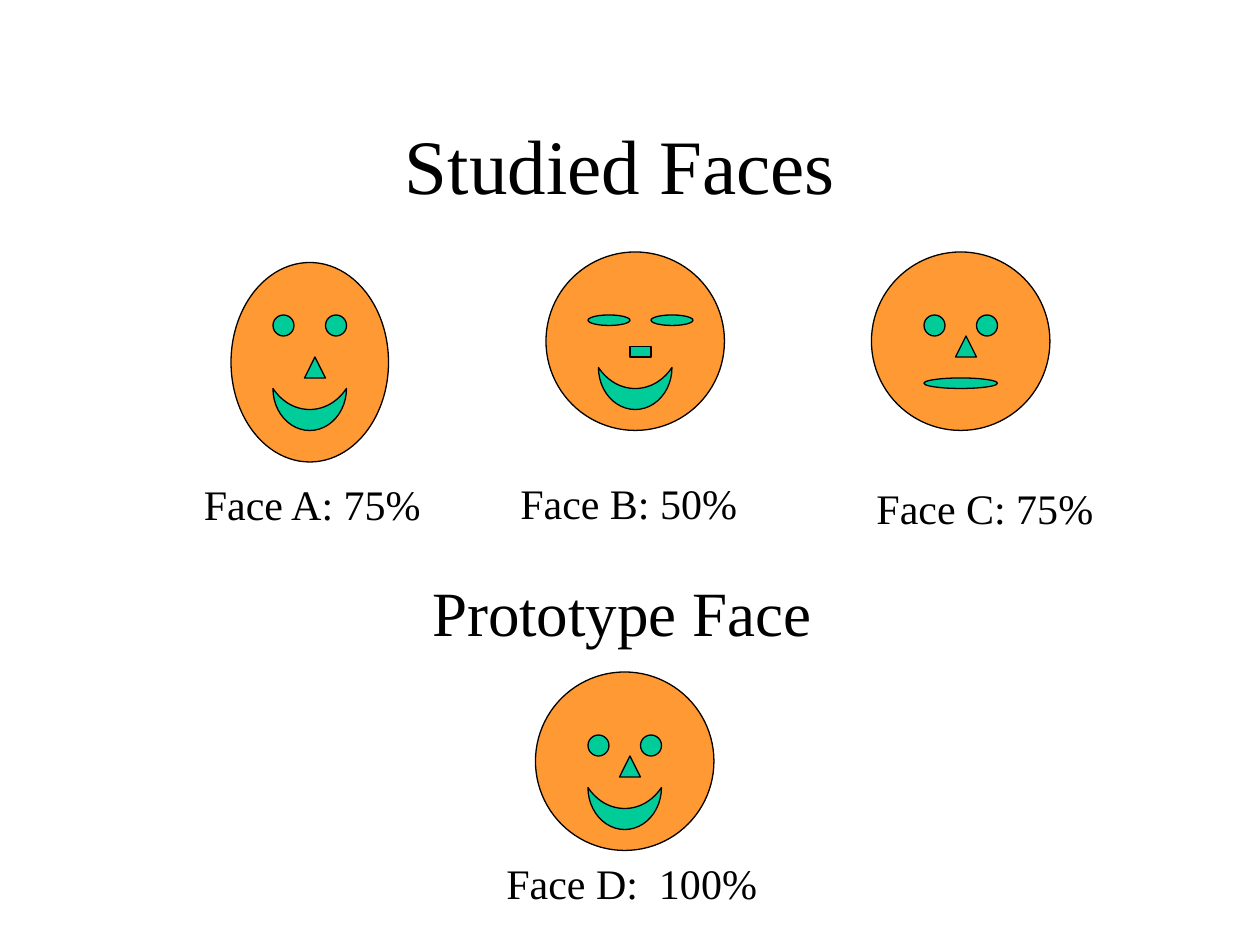
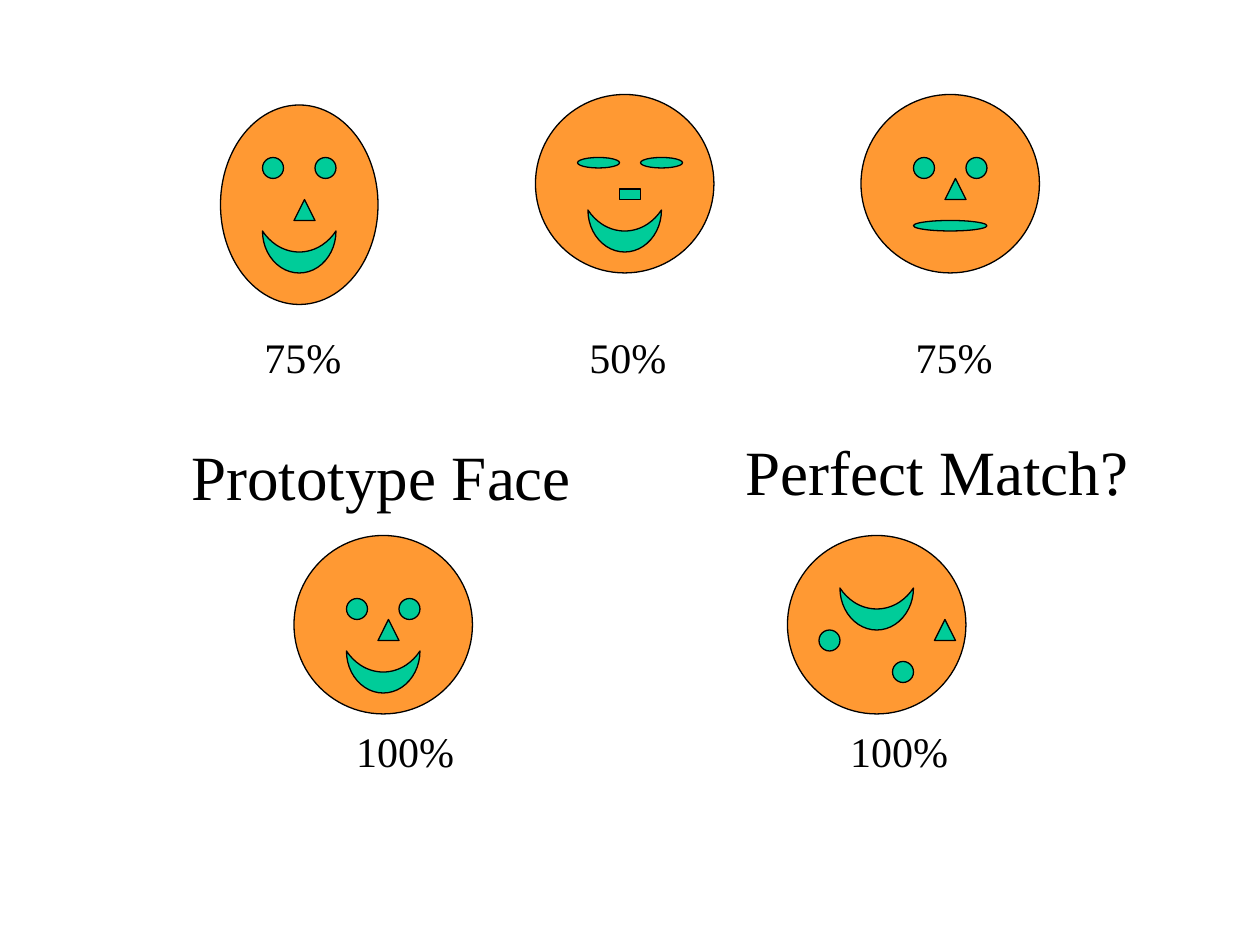
from dataclasses import dataclass

from pptx import Presentation
from pptx.dml.color import RGBColor
from pptx.enum.shapes import MSO_SHAPE
from pptx.enum.text import MSO_ANCHOR, MSO_AUTO_SIZE, PP_ALIGN
from pptx.util import Cm, Pt


@dataclass(frozen=True)
class Theme:
    font: str = "Times New Roman"
    ink: RGBColor = RGBColor(0, 0, 0)
    skin: RGBColor = RGBColor(0xFF, 0x99, 0x33)
    green: RGBColor = RGBColor(0x00, 0xCC, 0x99)
    title: int = 44
    head: int = 36
    label: int = 24
    line: float = 0.75


THEME = Theme()
UNIT = 2.54 / 12  # faces sit on a grid of twelfths of an inch
OVAL = MSO_SHAPE.OVAL

# Kinds of face feature: preset, width, height (in grid units)
EYE = (OVAL, 2, 2)
SLIT = (OVAL, 4, 1)
NOSE = (MSO_SHAPE.ISOSCELES_TRIANGLE, 2, 2)
BLOCK = (MSO_SHAPE.RECTANGLE, 2, 1)
SMILE = (MSO_SHAPE.MOON, 7, 4)
FLAT = (OVAL, 7, 1)

ROUND = (17, 17)
LONG = (15, 19)

# Each face: head size, then its features with offsets from the head's corner
FACE_A = (LONG, [(EYE, 4, 5), (EYE, 9, 5), (NOSE, 7, 9), (SMILE, 4, 12)])
FACE_B = (ROUND, [(SLIT, 4, 6), (SLIT, 10, 6), (BLOCK, 8, 9), (SMILE, 5, 11)])
FACE_C = (ROUND, [(EYE, 5, 6), (EYE, 10, 6), (NOSE, 8, 8), (FLAT, 5, 12)])
FACE_D = (ROUND, [(EYE, 5, 6), (EYE, 10, 6), (NOSE, 8, 8), (SMILE, 5, 11)])
MIXED = (ROUND, [(EYE, 10, 12), (EYE, 3, 9), (NOSE, 14, 8), (SMILE, 5, 5)])


def add_form(slide, kind, x, y, fill):
    """Draw one outlined shape on the grid; a moon is turned to smile."""
    preset, wide, high = kind
    turned = preset == MSO_SHAPE.MOON
    if turned:
        shift = (wide - high) / 2
        x, y, wide, high = x + shift, y - shift, high, wide
    shape = slide.shapes.add_shape(preset, *(Cm(n * UNIT) for n in (x, y, wide, high)))
    if turned:
        shape.rotation = 270
    shape.shadow.inherit = False
    shape.fill.solid()
    shape.fill.fore_color.rgb = fill
    shape.line.color.rgb = THEME.ink
    shape.line.width = Pt(THEME.line)


def add_face(slide, face, x, y):
    size, forms = face
    add_form(slide, (OVAL, *size), x, y, THEME.skin)
    for kind, dx, dy in forms:
        add_form(slide, kind, x + dx, y + dy, THEME.green)


def add_run(para, text, size):
    run = para.add_run()
    run.text = text
    run.font.name = THEME.font
    run.font.size = Pt(size)
    run.font.color.rgb = THEME.ink


def add_text(slide, text, x, y, wide, size=THEME.label, wrap=True):
    high = 1.78 if size == THEME.head else 1.27
    frame = slide.shapes.add_textbox(Cm(x), Cm(y), Cm(wide), Cm(high)).text_frame
    frame.word_wrap = wrap
    frame.auto_size = MSO_AUTO_SIZE.SHAPE_TO_FIT_TEXT
    add_run(frame.paragraphs[0], text, size)


def set_title(slide, text):
    title = slide.shapes.title
    title.left, title.top = Cm(1.9), Cm(1.7)
    title.width, title.height = Cm(21.59), Cm(3.18)
    frame = title.text_frame
    frame.vertical_anchor = MSO_ANCHOR.MIDDLE
    para = frame.paragraphs[0]
    para.alignment = PP_ALIGN.CENTER
    add_run(para, text, THEME.title)


def add_trio(slide, x, y):
    """Place the three studied faces, with x and y at the first head."""
    add_face(slide, FACE_A, x, y)
    add_face(slide, FACE_B, x + 30, y - 1)
    add_face(slide, FACE_C, x + 61, y - 1)


def build_study(deck):
    slide = deck.slides.add_slide(deck.slide_layouts[5])
    set_title(slide, "Studied Faces ")

    # Studied faces and their labels
    add_trio(slide, 22, 25)
    add_text(slide, "Face A: 75%", 3.86, 9.53, 5.08)
    add_text(slide, "Face B: 50%", 10.24, 9.5, 5)
    add_text(slide, "Face C: 75%", 17.42, 9.6, 5.72)

    # Prototype
    add_text(slide, "Prototype Face", 8.46, 11.43, 9.68, THEME.head)
    add_face(slide, FACE_D, 51, 64)
    add_text(slide, "Face D:  100%", 9.96, 17.17, 5.56, wrap=False)


def build_match(deck):
    slide = deck.slides.add_slide(deck.slide_layouts[6])

    # Studied faces and their scores
    add_trio(slide, 21, 10)
    for score, x in (("75%", 5.08), ("50%", 11.63), ("75%", 18.21)):
        add_text(slide, score, x, 6.55, 2.34)

    # Prototype beside the mixed face
    add_text(slide, "Prototype Face", 3.61, 8.69, 9.68, THEME.head)
    add_text(slide, "Perfect Match?", 14.78, 8.59, 8.23, THEME.head, wrap=False)
    for face, x, left in ((FACE_D, 28, 6.93), (MIXED, 75, 16.89)):
        add_face(slide, face, x, 51)
        add_text(slide, "100%", left, 14.5, 2.49, wrap=False)


def main():
    deck = Presentation()
    deck.slide_width, deck.slide_height = Cm(25.4), Cm(19.05)
    build_study(deck)
    build_match(deck)
    deck.save("out.pptx")


if __name__ == "__main__":
    main()
